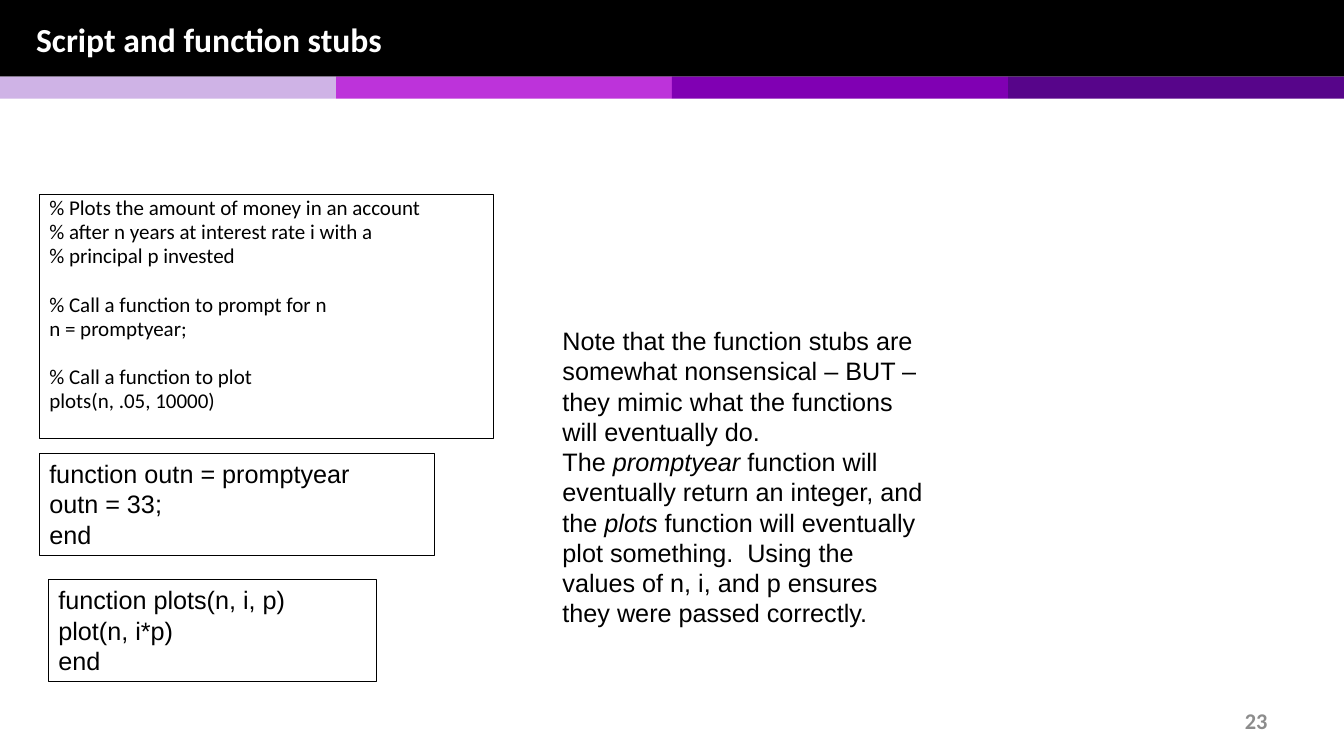
from pptx import Presentation
from pptx.dml.color import RGBColor
from pptx.enum.shapes import MSO_SHAPE
from pptx.enum.text import MSO_ANCHOR, PP_ALIGN
from pptx.util import Inches, Pt

RECT = MSO_SHAPE.RECTANGLE
TOP, MIDDLE = MSO_ANCHOR.TOP, MSO_ANCHOR.MIDDLE
LEFT, RIGHT = PP_ALIGN.LEFT, PP_ALIGN.RIGHT

BLACK = RGBColor(0x00, 0x00, 0x00)
WHITE = RGBColor(0xFF, 0xFF, 0xFF)
GRAY = RGBColor(0x8C, 0x8C, 0x8C)
BAND_COLORS = [RGBColor(0xCF, 0xB3, 0xE6), RGBColor(0xBD, 0x33, 0xDA),
               RGBColor(0x80, 0x00, 0xB3), RGBColor(0x57, 0x05, 0x8A)]

WIDTH, HEIGHT = Inches(13.33), Inches(7.5)
HEADER_H, BAND_H = 10.13, 2.93
CODE_LEFT = 2.93
STUB_H = 13.47
LINE_GAP, BLOCK_GAP = 2.8, 20.2

SCRIPT_BLOCKS = [
    ["% Plots the amount of money in an account",
     "% after n years at interest rate i with a",
     "% principal p invested"],
    ["% Call a function to prompt for n", "n = promptyear;"],
    ["% Call a function to plot", "plots(n, .05, 10000)"],
]
STUBS = [
    (CODE_LEFT, 60, 29.41, ["function outn = promptyear", "outn = 33;", "end"]),
    (3.6, 76.67, 24.38, ["function plots(n, i, p)", "plot(n, i*p)", "end"]),
]
# Every second run of a paragraph is italic.
NOTE = [
    ["Note that the function stubs are somewhat nonsensical – BUT – "
     "they mimic what the functions will eventually do."],
    ["The ", "promptyear",
     " function will eventually return an integer, and the ", "plots",
     " function will eventually plot something.  Using the values of n, i, "
     "and p ensures they were passed correctly."],
]


def place(x, y, w, h):
    """Turn percentages of the slide into lengths."""
    return [round(share * side / 100)
            for share, side in zip((x, y, w, h), (WIDTH, HEIGHT) * 2)]


def add_bar(s, box, color):
    sp = s.shapes.add_shape(RECT, *place(*box))
    sp.shadow.inherit = False
    sp.fill.solid()
    sp.fill.fore_color.rgb = color
    sp.line.fill.background()


def add_frame(s, box):
    """Add an outlined, unfilled rectangle and return its text frame."""
    sp = s.shapes.add_shape(RECT, *place(*box))
    sp.shadow.inherit = False
    sp.fill.background()
    sp.line.color.rgb = BLACK
    sp.line.width = Pt(0.75)
    return sp.text_frame


def add_text(s, box):
    return s.shapes.add_textbox(*place(*box)).text_frame


def write(tf, paragraphs, size, font="Arial", color=BLACK, bold=False,
          align=LEFT, anchor=TOP):
    """Fill a text frame; each paragraph is a list of runs."""
    tf.word_wrap = True
    tf.vertical_anchor = anchor
    for i, runs in enumerate(paragraphs):
        p = tf.add_paragraph() if i else tf.paragraphs[0]
        p.alignment = align
        for j, text in enumerate(runs):
            r = p.add_run()
            r.text = text
            r.font.name = font
            r.font.size = Pt(size)
            r.font.color.rgb = color
            r.font.bold = bold
            r.font.italic = j % 2 == 1


def add_script(s, box, blocks):
    """Add framed code whose blocks are set apart by paragraph spacing."""
    tf = add_frame(s, box)
    write(tf, [[line] for block in blocks for line in block], 15, "Calibri")
    gaps = [LINE_GAP if i else BLOCK_GAP
            for block in blocks for i in range(len(block))]
    gaps[0] = 0
    for p, gap in zip(tf.paragraphs, gaps):
        p.line_spacing = 0.8
        p.space_before = Pt(gap)


def main():
    prs = Presentation()
    prs.slide_width, prs.slide_height = WIDTH, HEIGHT
    s = prs.slides.add_slide(prs.slide_layouts[6])

    add_bar(s, (0, 0, 100, HEADER_H), BLACK)
    band_w = 100 / len(BAND_COLORS)
    for i, color in enumerate(BAND_COLORS):
        add_bar(s, (i * band_w, HEADER_H, band_w, BAND_H), color)
    write(add_text(s, (71.72, 92.67, 23.33, 5.33)), [["23"]], 16, "Calibri",
          GRAY, bold=True, align=RIGHT, anchor=MIDDLE)
    write(add_text(s, (1.95, 0.13, 96.17, 10)), [["Script and function stubs"]],
          24, "Calibri", WHITE, bold=True, anchor=MIDDLE)

    add_script(s, (CODE_LEFT, 25.73, 33.76, 32.27), SCRIPT_BLOCKS)
    for x, y, w, lines in STUBS:
        write(add_frame(s, (x, y, w, STUB_H)), [[line] for line in lines], 18)
    write(add_text(s, (41.11, 42.4, 28.73, 41.73)), NOTE, 18)

    prs.save("out.pptx")


if __name__ == "__main__":
    main()
